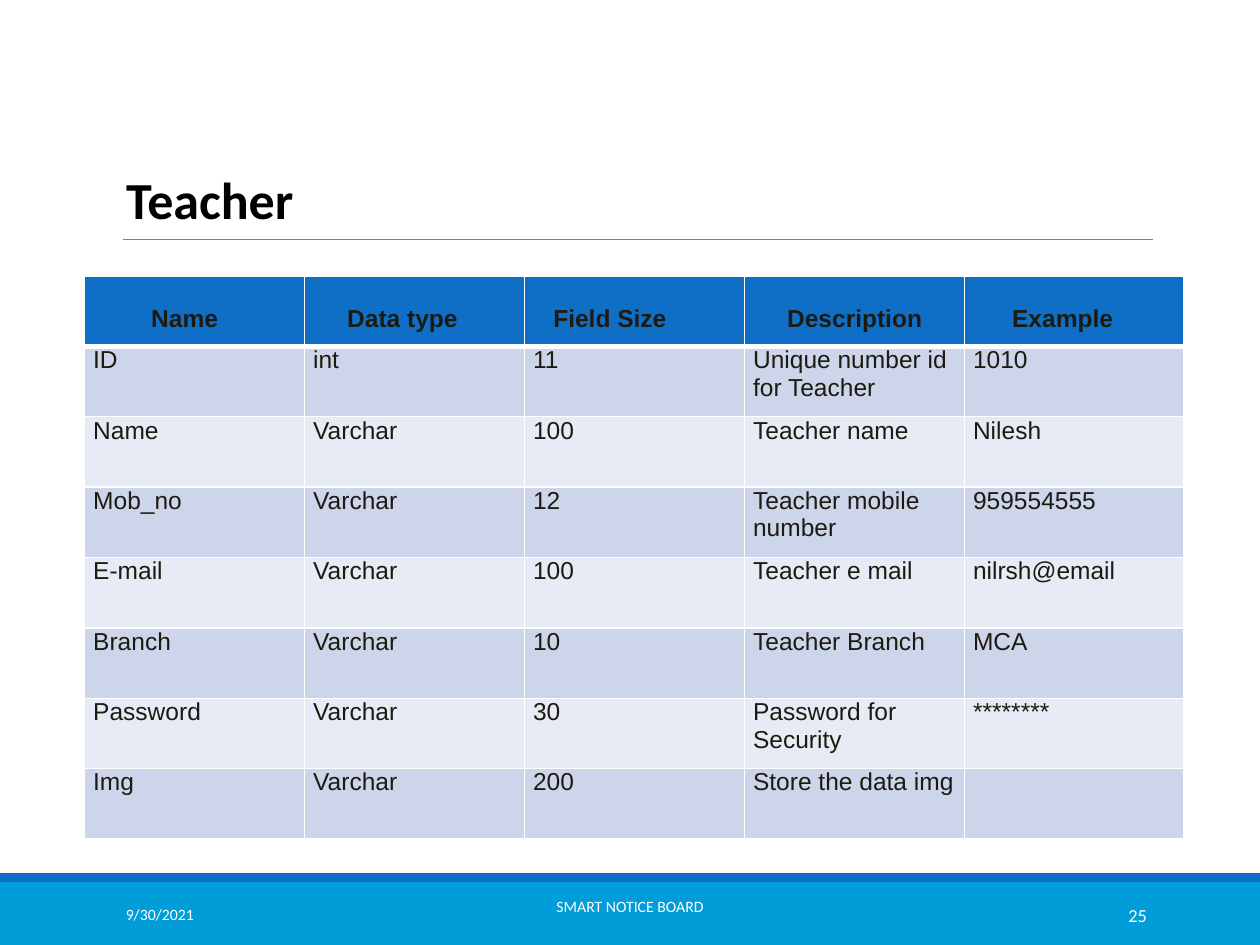
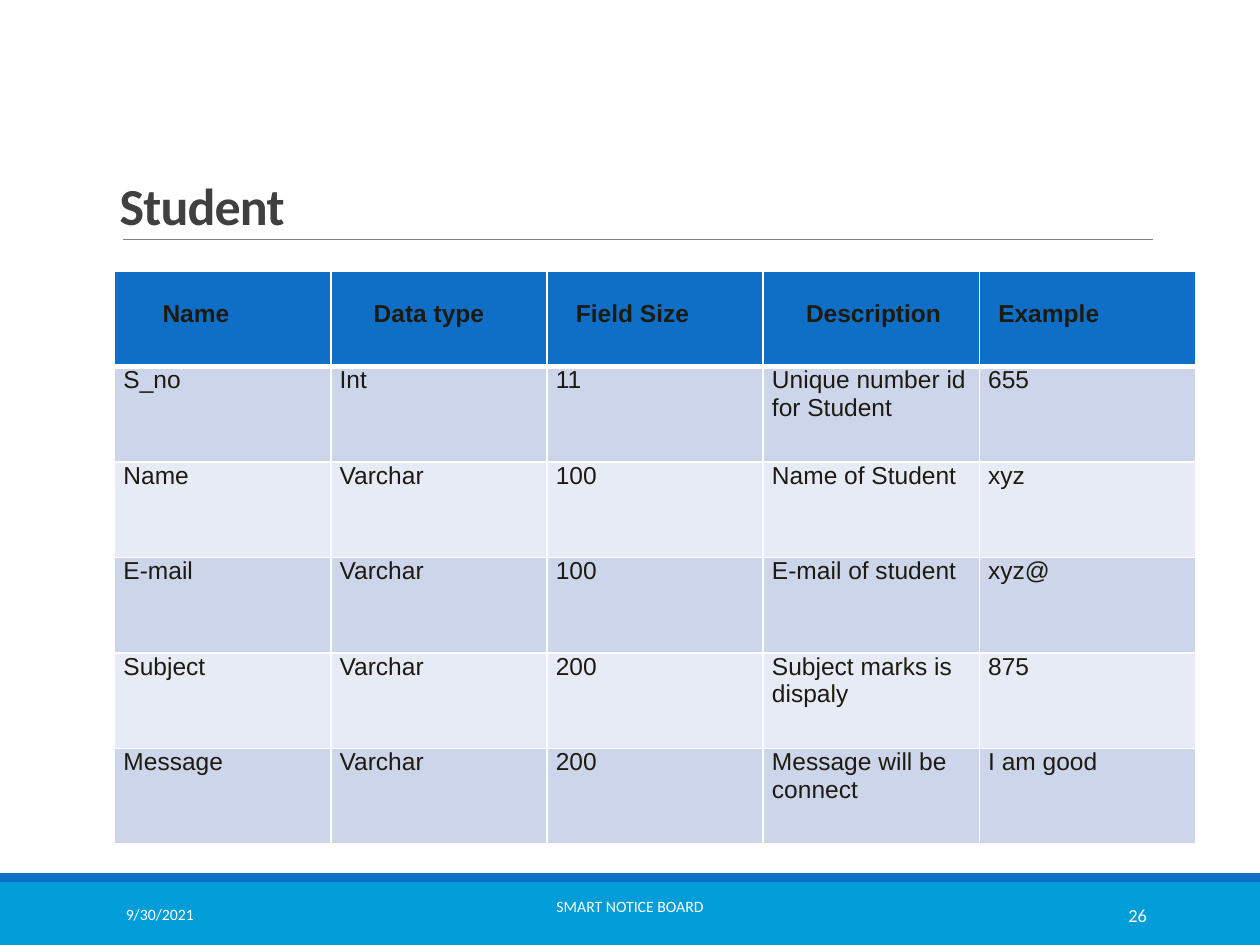
from dataclasses import dataclass

from lxml import etree
from pptx import Presentation
from pptx import util as u
from pptx.dml.color import RGBColor
from pptx.enum import shapes, text
from pptx.oxml import ns

SKY = RGBColor(0x00, 0x9D, 0xD9)
BLUE = RGBColor(0x0F, 0x6F, 0xC6)
GREY = RGBColor(0x80, 0x80, 0x80)
WHITE = RGBColor(0xFF, 0xFF, 0xFF)
BLACK = RGBColor(0x00, 0x00, 0x00)
CHARCOAL = RGBColor(0x40, 0x40, 0x40)
INK = RGBColor(0x1D, 0x1B, 0x11)
ROW_FILLS = (RGBColor(0xCC, 0xD5, 0xEA), RGBColor(0xE7, 0xEB, 0xF5))

HEADINGS = ("Name", "Data type", "Field Size", "Description", "Example")
CELL_INDENT = 0.07
HEADING_DROP = 0.23

LEFT, CENTER, RIGHT = text.PP_ALIGN.LEFT, text.PP_ALIGN.CENTER, text.PP_ALIGN.RIGHT
MIDDLE, BOTTOM = text.MSO_ANCHOR.MIDDLE, text.MSO_ANCHOR.BOTTOM


@dataclass(frozen=True)
class Area:
    left: float
    top: float
    width: float
    height: float

    def lengths(self) -> list[int]:
        return [u.Inches(n) for n in (self.left, self.top, self.width, self.height)]


@dataclass(frozen=True)
class Band:
    area: Area
    color: RGBColor


@dataclass(frozen=True)
class Label:
    area: Area
    words: str
    size: float
    color: RGBColor = WHITE
    align: text.PP_ALIGN = LEFT
    anchor: text.MSO_ANCHOR = MIDDLE
    bold: bool = False
    tracking: float = 0
    line_spacing: float = 1.0
    inset_left: float = 0.1
    inset_bottom: float = 0.05


@dataclass(frozen=True)
class EntityPage:
    number: int
    title: Label
    table_area: Area
    heading_indents: tuple[float, ...]
    rows: tuple[tuple[str, ...], ...]


BANDS = (
    Band(Area(0, 7, 10, 0.5), SKY),
    Band(Area(0, 6.93, 10, 0.07), BLUE),
)
TITLE_AREA = Area(0.76, 0.31, 8.25, 1.59)
FOOTERS = (
    Label(Area(0.9, 7.06, 2.03, 0.4), "9/30/2021", 9),
    Label(Area(3.02, 7.06, 3.96, 0.4), "SMART NOTICE BOARD", 9,
          align=CENTER, inset_bottom=0.18),
)
NUMBER_AREA = Area(8.12, 7.06, 1.08, 0.4)

PAGES = (
    EntityPage(
        25,
        Label(TITLE_AREA, "Teacher", 29.7, BLACK, anchor=BOTTOM, bold=True,
              line_spacing=0.85, inset_left=0.24, inset_bottom=0.07),
        Area(0.67, 2.19, 8.73, 4.47),
        (0.53, 0.34, 0.23, 0.34, 0.38),
        (
            ("ID", "int", "11", "Unique number id for Teacher", "1010"),
            ("Name", "Varchar", "100", "Teacher name", "Nilesh"),
            ("Mob_no", "Varchar", "12", "Teacher mobile number", "959554555"),
            ("E-mail", "Varchar", "100", "Teacher e mail", "nilrsh@email"),
            ("Branch", "Varchar", "10", "Teacher Branch", "MCA"),
            ("Password", "Varchar", "30", "Password for Security", "********"),
            ("Img", "Varchar", "200", "Store the data img", ""),
        ),
    ),
    EntityPage(
        26,
        Label(TITLE_AREA, "Student", 29.7, CHARCOAL, anchor=BOTTOM, bold=True,
              tracking=-0.5, line_spacing=0.85, inset_left=0.19, inset_bottom=0.03),
        Area(0.91, 2.15, 8.58, 4.55),
        (0.38, 0.34, 0.23, 0.34, 0.15),
        (
            ("S_no", "Int", "11", "Unique number id for Student", "655"),
            ("Name", "Varchar", "100", "Name of Student", "xyz"),
            ("E-mail", "Varchar", "100", "E-mail of student", "xyz@"),
            ("Subject", "Varchar", "200", "Subject marks is dispaly", "875"),
            ("Message", "Varchar", "200", "Message will be connect", "I am good"),
        ),
    ),
)


def style_paragraph(para, font_name: str, size: float, color: RGBColor, bold: bool) -> None:
    for span in para.runs:
        span.font.name = font_name
        span.font.size = u.Pt(size)
        span.font.bold = bold
        span.font.color.rgb = color


def draw_band(page, band: Band) -> None:
    bar = page.shapes.add_shape(shapes.MSO_SHAPE.RECTANGLE, *band.area.lengths())
    bar.shadow.inherit = False
    bar.fill.solid()
    bar.fill.fore_color.rgb = band.color
    bar.line.fill.background()


def draw_title_rule(page) -> None:
    ends = [u.Inches(n) for n in (0.98, 1.9, 9.15, 1.9)]
    rule = page.shapes.add_connector(shapes.MSO_CONNECTOR.STRAIGHT, *ends)
    rule.line.color.rgb = GREY
    rule.line.width = u.Pt(0.5)
    etree.SubElement(rule._element.spPr, ns.qn("a:effectLst"))


def draw_label(page, label: Label) -> None:
    frame = page.shapes.add_textbox(*label.area.lengths()).text_frame
    frame.word_wrap = True
    frame.vertical_anchor = label.anchor
    frame.margin_left = u.Inches(label.inset_left)
    frame.margin_bottom = u.Inches(label.inset_bottom)
    frame.text = label.words
    para = frame.paragraphs[0]
    para.alignment = label.align
    para.line_spacing = label.line_spacing
    style_paragraph(para, "Calibri", label.size, label.color, label.bold)
    if label.tracking:
        para.runs[0].font._element.set("spc", str(round(label.tracking * 100)))


def add_borders(cell, bottom_width: float) -> None:
    properties = cell._tc.get_or_add_tcPr()
    for side, width in (("L", 1), ("R", 1), ("T", 1), ("B", bottom_width)):
        line = etree.SubElement(properties, ns.qn(f"a:ln{side}"), w=str(u.Pt(width)))
        fill = etree.SubElement(line, ns.qn("a:solidFill"))
        etree.SubElement(fill, ns.qn("a:srgbClr"), val=str(WHITE))


def fill_cell(cell, words: str, fill: RGBColor, indent: float, heading: bool) -> None:
    add_borders(cell, 3 if heading else 1)
    cell.fill.solid()
    cell.fill.fore_color.rgb = fill
    cell.margin_left = u.Inches(indent)
    cell.margin_top = u.Inches(HEADING_DROP if heading else 0)
    cell.margin_right = cell.margin_bottom = 0
    cell.text_frame.text = words
    style_paragraph(cell.text_frame.paragraphs[0], "Arial", 14, INK, heading)


def draw_table(page, entity: EntityPage) -> None:
    area = entity.table_area
    lines = (HEADINGS, *entity.rows)
    table = page.shapes.add_table(len(lines), len(HEADINGS), *area.lengths()).table
    table.first_row = table.horz_banding = False
    for column in table.columns:
        column.width = u.Inches(area.width / len(HEADINGS))
    for row_index, line in enumerate(lines):
        table.rows[row_index].height = u.Inches(area.height / len(lines))
        heading = row_index == 0
        fill = BLUE if heading else ROW_FILLS[(row_index - 1) % 2]
        for column_index, words in enumerate(line):
            indent = entity.heading_indents[column_index] if heading else CELL_INDENT
            fill_cell(table.cell(row_index, column_index), words, fill, indent, heading)


def draw_page(deck, entity: EntityPage) -> None:
    page = deck.slides.add_slide(deck.slide_layouts[6])
    for band in BANDS:
        draw_band(page, band)
    draw_title_rule(page)
    number = Label(NUMBER_AREA, str(entity.number), 10.5, align=RIGHT)
    for label in (entity.title, *FOOTERS, number):
        draw_label(page, label)
    draw_table(page, entity)


def main() -> None:
    deck = Presentation()
    deck.slide_width = u.Inches(10)
    deck.slide_height = u.Inches(7.5)
    for entity in PAGES:
        draw_page(deck, entity)
    deck.save("out.pptx")


if __name__ == "__main__":
    main()
